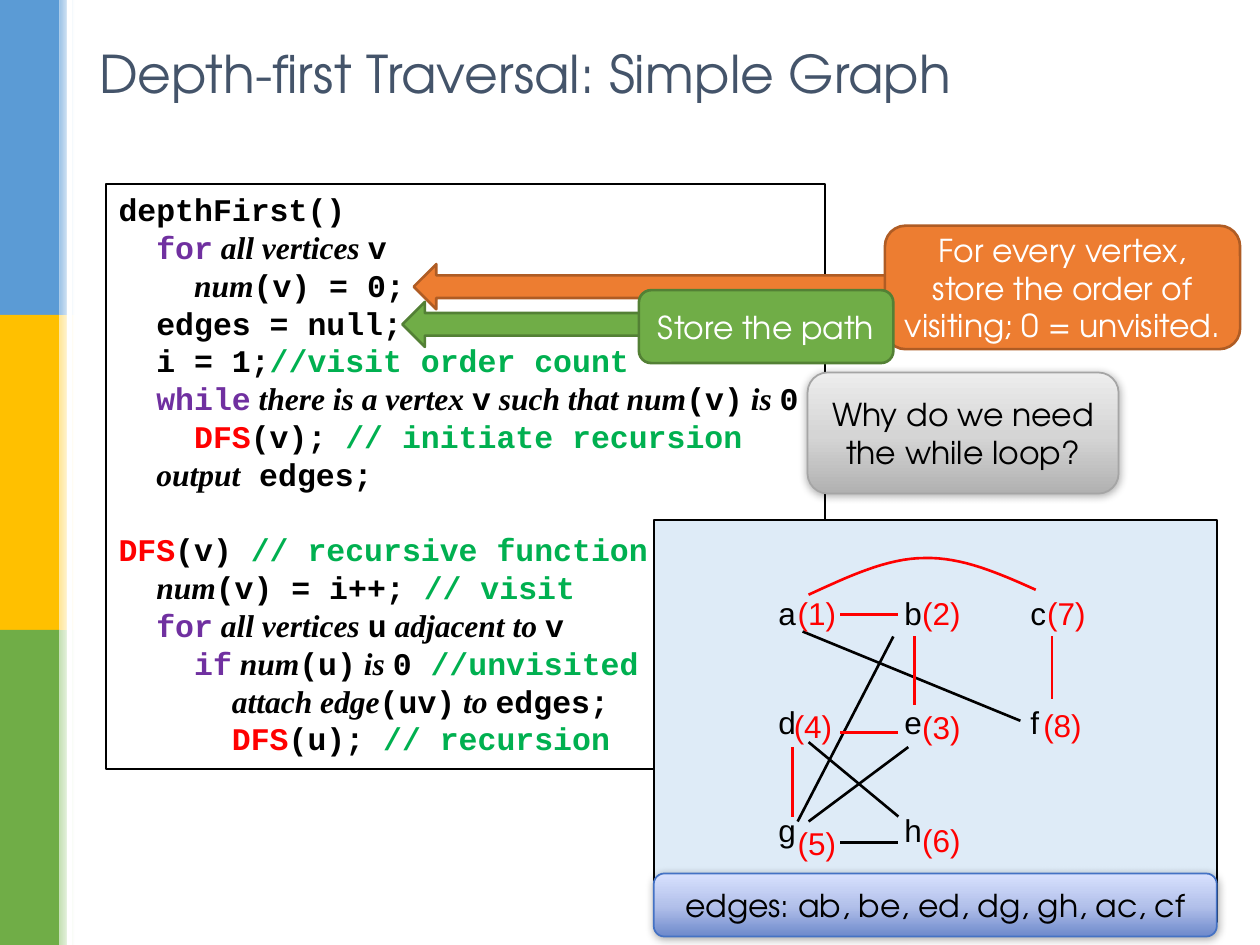
from lxml import etree
from pptx import Presentation
from pptx import util as u
from pptx.dml.color import RGBColor
from pptx.enum import shapes, text
from pptx.oxml.ns import qn

BLACK = RGBColor(0, 0, 0)
WHITE = RGBColor(255, 255, 255)
RED = RGBColor(255, 0, 0)
PURPLE = RGBColor(0x70, 0x30, 0xA0)
COMMENT = RGBColor(0x00, 0xB0, 0x50)
SLATE = RGBColor(0x44, 0x54, 0x6A)
BLUE = RGBColor(0x5B, 0x9B, 0xD5)
GOLD = RGBColor(0xFF, 0xC0, 0x00)
GREEN = RGBColor(0x70, 0xAD, 0x47)
DARK_GREEN = RGBColor(0x53, 0x80, 0x35)
ORANGE = RGBColor(0xED, 0x7D, 0x31)
DARK_ORANGE = RGBColor(0xAF, 0x5C, 0x24)
PALE_BLUE = RGBColor(0xDE, 0xEB, 0xF7)
GRAY = RGBColor(0xA5, 0xA5, 0xA5)
ROYAL = RGBColor(0x44, 0x72, 0xC4)
GRAY_STOPS = [(0, RGBColor(0xB1, 0xB1, 0xB1)), (48, RGBColor(0xD5, 0xD5, 0xD5)),
              (100, RGBColor(0xED, 0xED, 0xED))]
ROYAL_STOPS = [(0, RGBColor(0x6D, 0x89, 0xCB)), (48, RGBColor(0xB2, 0xC0, 0xEA)),
               (100, RGBColor(0xD8, 0xE1, 0xFE))]
BANDS = [(BLUE, RGBColor(0x9D, 0xC3, 0xE6)), (GOLD, RGBColor(0xFF, 0xE6, 0x99)),
         (GREEN, RGBColor(0xC5, 0xE0, 0xB4))]

DISPLAY, SANS, MONO, SERIF = "TeX Gyre Adventor", "Arial", "Courier New", "Times New Roman"
STYLES = {"code": (MONO, BLACK), "prose": (SERIF, BLACK), "key": (MONO, PURPLE),
          "call": (MONO, RED), "note": (MONO, COMMENT)}
CODE_PITCH = u.Pt(21.6)
CODE = [
    [("code", "depthFirst()")],
    [("code", "  "), ("key", "for"), ("prose", " all vertices "), ("code", "v")],
    [("code", "    "), ("prose", "num"), ("code", "(v) = 0;")],
    [("code", "  edges = null;")],
    [("code", "  i = 1;"), ("note", "//visit order count")],
    [("code", "  "), ("key", "while"), ("prose", " there is a vertex "), ("code", "v"),
     ("prose", " such that num"), ("code", "(v)"), ("prose", " is "), ("code", "0")],
    [("code", "    "), ("call", "DFS"), ("code", "(v); "), ("note", "// initiate recursion")],
    [("code", "  "), ("prose", "output"), ("code", " edges;")],
    [("call", "DFS"), ("code", "(v)"), ("note", " // recursive function")],
    [("code", "  "), ("prose", "num"), ("code", "(v) = i++;"), ("note", " // visit")],
    [("code", "  "), ("key", "for"), ("prose", " all vertices "), ("code", "u"),
     ("prose", " adjacent to "), ("code", "v")],
    [("code", "    "), ("key", "if"), ("prose", " num"), ("code", "(u)"), ("prose", " is "),
     ("code", "0"), ("note", " //unvisited")],
    [("code", "      "), ("prose", "attach edge"), ("code", "(uv)"), ("prose", " to "),
     ("code", "edges;")],
    [("code", "      "), ("call", "DFS"), ("code", "(u);"), ("note", " // recursion")],
]
SECOND_FUNCTION = 8

EDGES = [
    (5.13, 4.57, 3.12, 6.07, BLACK), (7.39, 4.04, 3, 2.24, BLACK),
    (2.9, 6.07, 4.83, 2.34, BLACK), (3.12, 4.47, 4.93, 5.97, BLACK),
    (3.76, 6.5, 4.93, 6.5, BLACK), (3.76, 1.9, 4.93, 1.9, RED),
    (5.26, 2.34, 5.26, 3.73, RED), (3.76, 4.27, 4.93, 4.27, RED),
    (2.79, 4.57, 2.79, 5.97, RED), (8.03, 2.34, 8.03, 3.61, RED),
]
ARC = [[(3.12, 1.5), (3.91, 1.14), (4.7, 0.76), (5.46, 0.76)],
       [(5.46, 0.76), (6.22, 0.74), (6.96, 1.07), (7.7, 1.4)]]
VISITS = [(2.49, 1.37), (5, 1.37), (5, 3.66), (2.41, 3.63),
          (2.49, 5.99), (5, 5.94), (7.52, 1.37), (7.44, 3.61)]
VERTEX_TABS = [2.54, 5.08]


def set_gradient(shape, stops, angle):
    shape.fill.gradient()
    shape.fill.gradient_angle = angle
    stop_list = shape._element.spPr.find(".//" + qn("a:gsLst"))
    for stop in list(stop_list):
        stop_list.remove(stop)
    for percent, color in stops:
        stop = etree.SubElement(stop_list, qn("a:gs"), pos=str(percent * 1000))
        etree.SubElement(stop, qn("a:srgbClr"), val=str(color))


def add_soft_shadow(shape):
    effects = shape._element.spPr.find(qn("a:effectLst"))
    shadow = etree.SubElement(effects, qn("a:outerShdw"), blurRad=str(u.Pt(5)),
                              dist=str(u.Pt(1)), dir="5400000", rotWithShape="0")
    color = etree.SubElement(shadow, qn("a:srgbClr"), val=str(BLACK))
    etree.SubElement(color, qn("a:alpha"), val="32000")


def add_block(page, kind, box, fill=None, line=None, width=1):
    shape = page.shapes.add_shape(kind, *map(u.Cm, box))
    shape.shadow.inherit = False
    if fill is None:
        shape.fill.background()
    elif isinstance(fill, list):
        set_gradient(shape, fill, 90)
    else:
        shape.fill.solid()
        shape.fill.fore_color.rgb = fill
    if line is None:
        shape.line.fill.background()
    else:
        shape.line.color.rgb = line
        shape.line.width = u.Pt(width)
    return shape


def write(shape, lines, font, size, color, align, anchor=text.MSO_ANCHOR.TOP, gap=0, tabs=()):
    frame = shape.text_frame
    frame.word_wrap = True
    frame.vertical_anchor = anchor
    for index, line in enumerate(lines):
        para = frame.add_paragraph() if index else frame.paragraphs[0]
        para.add_run().text = line
        para.alignment = align
        if index:
            para.space_before = u.Pt(gap)
        if tabs:
            tab_list = etree.SubElement(para._p.get_or_add_pPr(), qn("a:tabLst"))
            for stop in tabs:
                etree.SubElement(tab_list, qn("a:tab"), pos=str(u.Cm(stop)), algn="l")
        para.font.name, para.font.size, para.font.color.rgb = font, u.Pt(size), color


def add_label(page, box, lines, font, size, color, align=text.PP_ALIGN.LEFT, **layout):
    label = page.shapes.add_textbox(*map(u.Cm, box))
    write(label, lines, font, size, color, align, **layout)


def add_side_bands(page, left, top, width, height):
    band_height = height / len(BANDS)
    solid = width * 0.8
    for index, (color, tint) in enumerate(BANDS):
        y = top + index * band_height
        add_block(page, shapes.MSO_SHAPE.RECTANGLE, (left, y, solid, band_height), color)
        fade = add_block(page, shapes.MSO_SHAPE.RECTANGLE,
                         (left + solid, y, width - solid, band_height), tint)
        set_gradient(fade, [(0, tint), (100, WHITE)], 0)
    add_block(page, shapes.MSO_SHAPE.RECTANGLE, (left + width * 0.9, top, 0.1, height), WHITE)


def add_code(page, box):
    listing = add_block(page, shapes.MSO_SHAPE.RECTANGLE, box, line=BLACK)
    frame = listing.text_frame
    frame.word_wrap = True
    frame.vertical_anchor = text.MSO_ANCHOR.TOP
    for index, spans in enumerate(CODE):
        para = frame.add_paragraph() if index else frame.paragraphs[0]
        para.alignment = text.PP_ALIGN.LEFT
        para.line_spacing = CODE_PITCH
        if index == SECOND_FUNCTION:
            para.space_before = CODE_PITCH
        para.font.size, para.font.bold = u.Pt(18), True
        for style, words in spans:
            span = para.add_run()
            span.text = words
            span.font.name, span.font.color.rgb = STYLES[style]
            span.font.italic = style == "prose"


def add_arc(page, left, top, steps=16):
    points = []
    for curve in ARC:
        for step in range(steps + 1):
            t = step / steps
            weights = ((1 - t) ** 3, 3 * t * (1 - t) ** 2, 3 * t * t * (1 - t), t ** 3)
            x, y = (sum(w * p[axis] for w, p in zip(weights, curve)) for axis in (0, 1))
            points.append((u.Cm(left + x), u.Cm(top + y)))
    builder = page.shapes.build_freeform(*points[0])
    builder.add_line_segments(points[1:], close=False)
    arc = builder.convert_to_shape()
    arc.shadow.inherit = False
    arc.fill.background()
    arc.line.color.rgb = RED
    arc.line.width = u.Pt(1.5)


def add_graph(page, left, top, width, height):
    add_block(page, shapes.MSO_SHAPE.RECTANGLE, (left, top, width, height), PALE_BLUE, BLACK)
    add_label(page, (left + 2.26, top + 1.37, 6.4, 5.61), ["a\tb\tc", "d\te\tf", "g\th"],
              SANS, 18, BLACK, gap=40.4, tabs=VERTEX_TABS)
    for x1, y1, x2, y2, color in EDGES:
        ends = (left + x1, top + y1, left + x2, top + y2)
        edge = page.shapes.add_connector(shapes.MSO_CONNECTOR.STRAIGHT, *map(u.Cm, ends))
        edge.line.color.rgb = color
        edge.line.width = u.Pt(1.5)
        etree.SubElement(edge._element.spPr, qn("a:effectLst"))
    add_arc(page, left, top)
    for order, (x, y) in enumerate(VISITS, 1):
        add_label(page, (left + x, top + y, 1.6, 1.02), [f"({order})"], SANS, 18, RED,
                  text.PP_ALIGN.CENTER)


def add_callout(page, box, words, fill, line, width=1.5, color=WHITE):
    callout = add_block(page, shapes.MSO_SHAPE.ROUNDED_RECTANGLE, box, fill, line, width)
    write(callout, [words], DISPLAY, 18, color, text.PP_ALIGN.CENTER, text.MSO_ANCHOR.MIDDLE)
    return callout


def add_pointer(page, tip_x, tip_y, length, fill, line, thickness=0.91):
    box = (tip_x + (length - thickness) / 2, tip_y - length / 2, thickness, length)
    add_block(page, shapes.MSO_SHAPE.DOWN_ARROW, box, fill, line, 1.5).rotation = 90


def main():
    deck = Presentation()
    deck.slide_width, deck.slide_height = u.Cm(25.4), u.Cm(19.05)
    page = deck.slides.add_slide(deck.slide_layouts[6])
    add_side_bands(page, 0, 0, 1.5, 19.05)
    add_label(page, (1.75, 0.69, 21.89, 1.55), ["Depth-first Traversal: Simple Graph"],
              DISPLAY, 29.7, SLATE, anchor=text.MSO_ANCHOR.MIDDLE)
    add_code(page, (2.14, 3.71, 14.5, 11.79))
    add_graph(page, 13.18, 10.49, 11.35, 8.1)
    add_pointer(page, 8.34, 5.78, 10.08, ORANGE, DARK_ORANGE)
    add_callout(page, (17.84, 4.55, 7.16, 2.49),
                "For every vertex, store the order of visiting; 0 = unvisited.",
                ORANGE, DARK_ORANGE)
    add_pointer(page, 8.11, 6.54, 8.81, GREEN, DARK_GREEN)
    add_callout(page, (12.88, 5.85, 5.13, 1.47), "Store the path", GREEN, DARK_GREEN)
    for box, words, stops, line in [
        ((16.28, 7.51, 6.27, 2.44), "Why do we need the while loop?", GRAY_STOPS, GRAY),
        ((13.18, 17.61, 11.35, 1.27), "edges: ab, be, ed, dg, gh, ac, cf", ROYAL_STOPS, ROYAL),
    ]:
        add_soft_shadow(add_callout(page, box, words, stops, line, 1, BLACK))
    deck.save("out.pptx")


if __name__ == "__main__":
    main()
